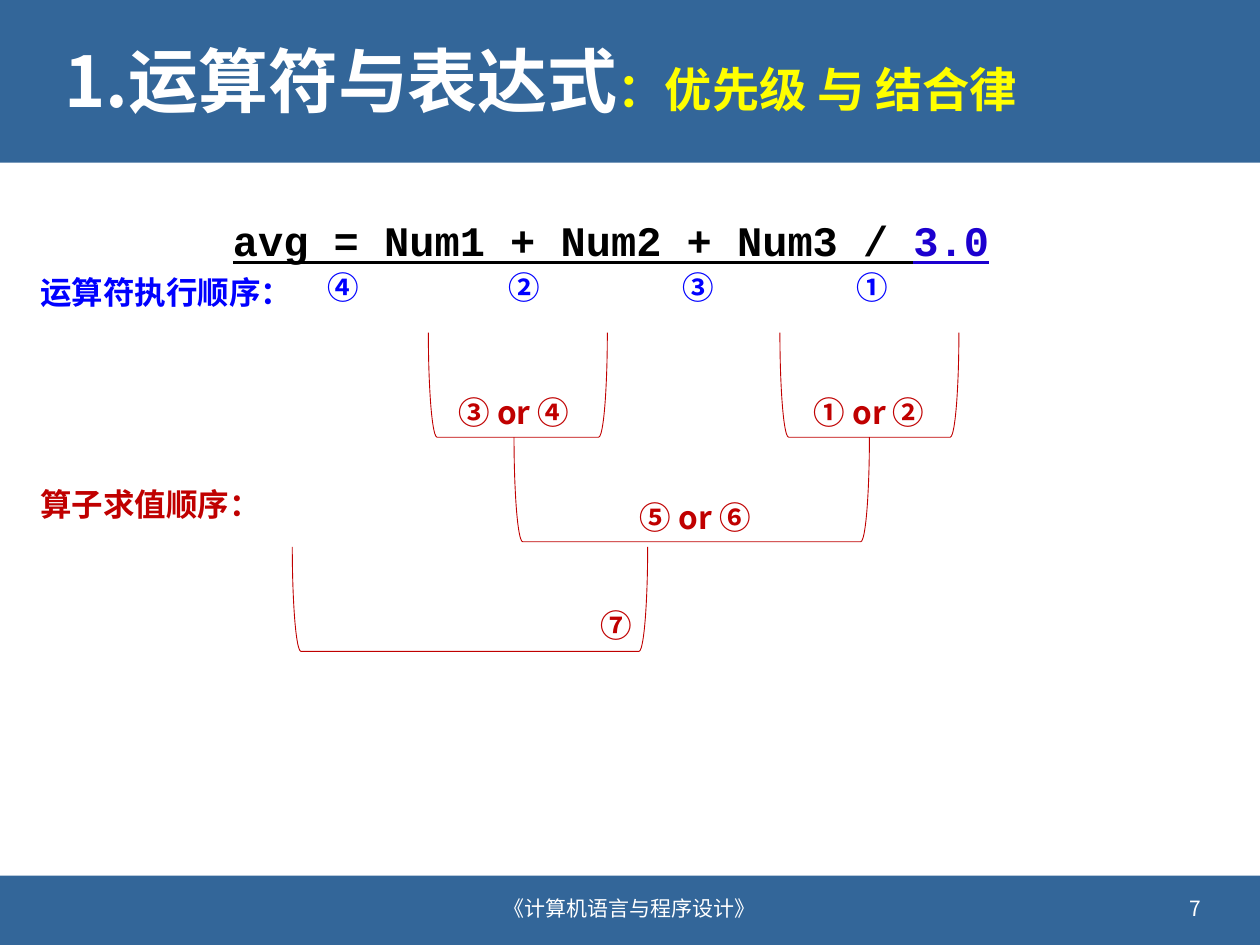
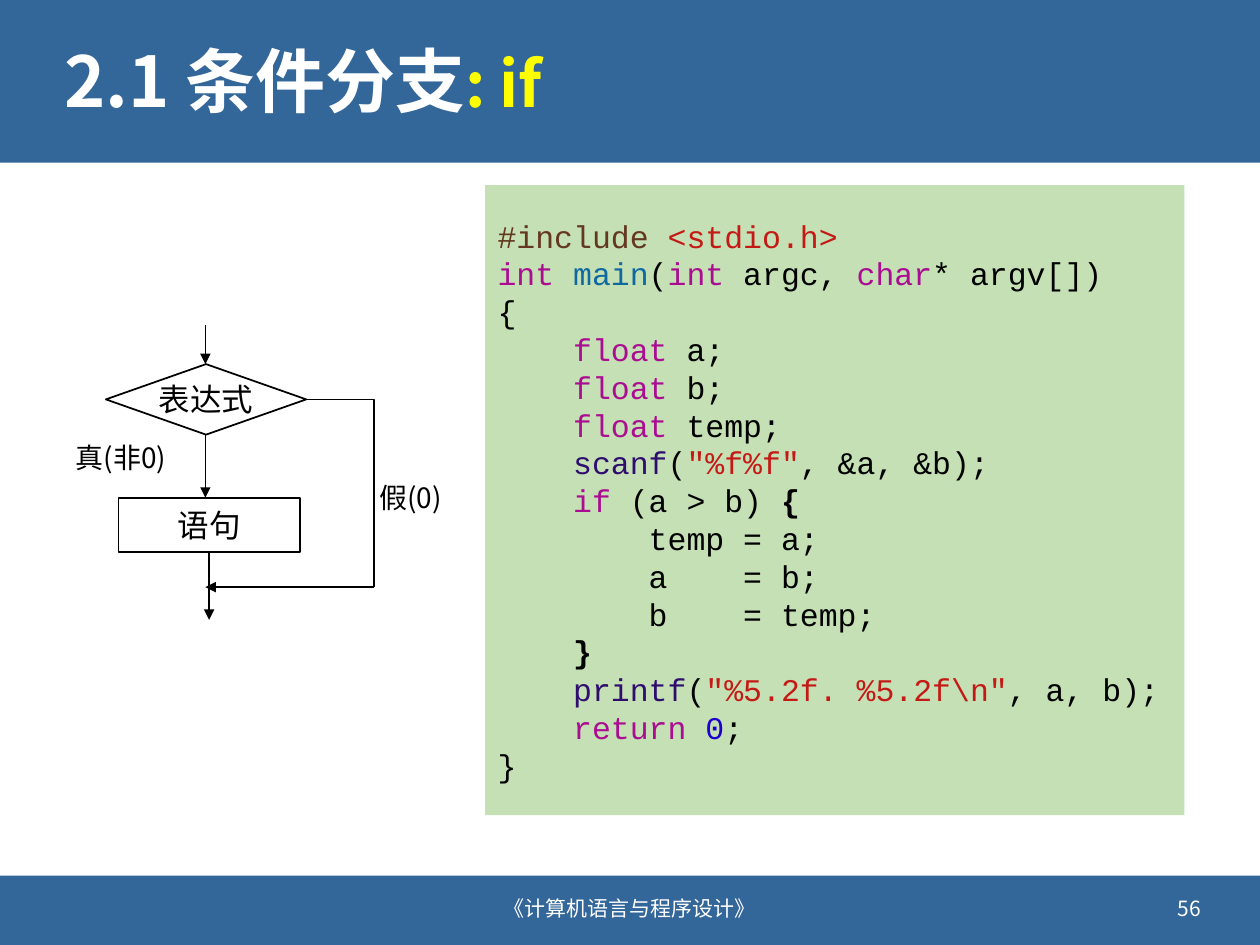
from dataclasses import dataclass

from lxml import etree
from pptx import Presentation
from pptx import util as u
from pptx.dml.color import RGBColor
from pptx.enum import shapes, text
from pptx.oxml import ns

SLIDE_WIDTH, SLIDE_HEIGHT = u.Inches(10), u.Inches(7.5)
COLUMNS, ROWS = 100, 75


@dataclass(frozen=True)
class Theme:
    """Colours, fonts and type sizes of the deck."""
    band: str = "336699"
    white: str = "FFFFFF"
    black: str = "000000"
    accent: str = "FFFF00"
    operator: str = "0000FF"
    operand: str = "C00000"
    code_fill: str = "C5E0B4"
    keyword: str = "AA0D91"
    function: str = "2E0D6E"
    entry: str = "0F68A0"
    string: str = "C41A16"
    number: str = "1C00CF"
    directive: str = "643820"
    sans: str = "Noto Sans CJK SC"
    mono: str = "Courier New"
    title_size: int = 40
    topic_size: int = 27
    keyword_topic_size: int = 36
    equation_size: int = 24
    body_size: int = 18
    branch_size: int = 16
    footer_size: int = 12


THEME = Theme()
SYNTAX = {
    "#include": THEME.directive, "main": THEME.entry, "0": THEME.number,
    **dict.fromkeys(("int", "char", "float", "if", "return"), THEME.keyword),
    **dict.fromkeys(("scanf", "printf"), THEME.function),
    **dict.fromkeys(("<stdio.h>", '"%f%f"', r'"%5.2f. %5.2f\n"'), THEME.string),
}
PROGRAM = r"""#include| |<stdio.h>
int| |main|(|int| argc, |char|* argv[])
{
    |float| a;
    |float| b;
    |float| temp;
    |scanf|(|"%f%f"|, &a, &b);
    |if| (a > b) |{
        temp = a;
        a    = b;
        b    = temp;
    |}
    |printf|(|"%5.2f. %5.2f\n"|, a, b);
    |return| |0|;
}"""


def across(columns):
    """Turn grid columns into a length."""
    return round(SLIDE_WIDTH * columns / COLUMNS)


def down(rows):
    """Turn grid rows into a length."""
    return round(SLIDE_HEIGHT * rows / ROWS)


def area(left, top, width, height):
    """Turn a grid area into shape arguments."""
    return across(left), down(top), across(width), down(height)


def style(span, size, color, bold=False, font=THEME.sans, underline=None):
    """Format one run, with the same face for Latin and Chinese."""
    span.font.size = u.Pt(size)
    span.font.bold = bold
    span.font.underline = underline
    span.font.color.rgb = RGBColor.from_string(color)
    span.font.name = font
    etree.SubElement(span.font._element, ns.qn("a:ea"), typeface=font)


def add_span(para, words, size, color, **options):
    """Append one formatted run to a paragraph."""
    span = para.add_run()
    span.text = words
    style(span, size, color, **options)


def paint(shape, fill=None, line=None, width=1):
    """Set the fill and outline of a shape and drop its shadow."""
    shape.shadow.inherit = False
    if fill:
        shape.fill.solid()
        shape.fill.fore_color.rgb = RGBColor.from_string(fill)
    else:
        shape.fill.background()
    if line:
        shape.line.color.rgb = RGBColor.from_string(line)
        shape.line.width = u.Pt(width)
    else:
        shape.line.fill.background()


def add_box(page, place, wrap=True):
    """Add an empty text box."""
    box = page.shapes.add_textbox(*area(*place))
    box.text_frame.word_wrap = wrap
    return box


def add_label(page, words, left, top, width, color):
    """Add a bold label that keeps to its own width."""
    frame = add_box(page, (left, top, width, 4), wrap=False).text_frame
    frame.auto_size = text.MSO_AUTO_SIZE.SHAPE_TO_FIT_TEXT
    frame.text = words
    style(frame.paragraphs[0].runs[0], THEME.body_size, color, bold=True)


def add_line(box, words, size, color=THEME.black, align=text.PP_ALIGN.CENTER):
    """Write one aligned line at the middle height of a shape."""
    frame = box.text_frame
    frame.text = words
    frame.vertical_anchor = text.MSO_ANCHOR.MIDDLE
    frame.paragraphs[0].alignment = align
    style(frame.paragraphs[0].runs[0], size, color)


def add_bracket(page, left, top, width, height=8.3):
    """Add a bracket that opens upwards over the given area."""
    middle_x, middle_y = left + width / 2, top + height / 2
    bracket = page.shapes.add_shape(
        shapes.MSO_SHAPE.LEFT_BRACKET,
        *area(middle_x - height / 2, middle_y - width / 2, height, width))
    bracket.rotation = 270
    paint(bracket, line=THEME.operand, width=0.5)


def add_flow_node(page, kind, words, place):
    """Add a flowchart node with centred text."""
    node = page.shapes.add_shape(kind, *area(*place))
    paint(node, THEME.white, THEME.black)
    node.text_frame.word_wrap = False
    add_line(node, words, THEME.body_size)


def add_flow_line(page, start, end, arrow=True, bent=False):
    """Add a straight or one-corner flow line."""
    kind = shapes.MSO_CONNECTOR.ELBOW if bent else shapes.MSO_CONNECTOR.STRAIGHT
    line = page.shapes.add_connector(
        kind, across(start[0]), down(start[1]), across(end[0]), down(end[1]))
    line.line.color.rgb = RGBColor.from_string(THEME.black)
    line.line.width = u.Pt(1)
    properties = line.element.spPr
    if bent:
        properties.find(ns.qn("a:prstGeom")).set("prst", "bentConnector2")
    if arrow:
        etree.SubElement(properties.find(ns.qn("a:ln")), ns.qn("a:tailEnd"),
                         type="triangle")
    etree.SubElement(properties, ns.qn("a:effectLst"))


def add_layout_bands(page):
    """Draw the header and footer bands behind the layout's placeholders."""
    tree = page.slide_layout.shapes.element
    for index, (top, height) in enumerate(((0, 12.9), (69.5, 5.5)), start=2):
        band = page.shapes.add_shape(shapes.MSO_SHAPE.RECTANGLE,
                                     *area(0, top, COLUMNS, height))
        paint(band, THEME.band)
        tree.insert(index, band.element)


def add_page(deck, heading, topic, topic_size, number):
    """Add a page with its two-tone title, course name and page number."""
    page = deck.slides.add_slide(deck.slide_layouts[5])
    title = page.shapes.title
    title.left, title.top, title.width, title.height = area(4.1, 1.8, 91.9, 9.9)
    title.text_frame.vertical_anchor = text.MSO_ANCHOR.MIDDLE
    para = title.text_frame.paragraphs[0]
    para.alignment = text.PP_ALIGN.LEFT
    para.line_spacing = 0.9
    add_span(para, heading, THEME.title_size, THEME.white, bold=True)
    add_span(para, topic, topic_size, THEME.accent, bold=True)
    for words, left, width, align in (
            ("《计算机语言与程序设计》", 32, 36, text.PP_ALIGN.CENTER),
            (number, 72.3, 24, text.PP_ALIGN.RIGHT)):
        box = add_box(page, (left, 70.1, width, 4))
        add_line(box, words, THEME.footer_size, THEME.white, align)
    return page


def add_equation(page):
    """Add the underlined expression."""
    para = add_box(page, (17.5, 16.5, 70.5, 5)).text_frame.paragraphs[0]
    for words, color in (("avg = Num1 + Num2 + Num3 / ", THEME.black),
                         ("3.0", THEME.number)):
        add_span(para, words, THEME.equation_size, color, bold=True,
                 font=THEME.mono, underline=True)


def add_evaluation_order(page):
    """Add the operator order and the tree of operand brackets."""
    add_label(page, "运算符执行顺序：", 2.2, 21.2, 22.2, THEME.operator)
    for words, left in (("④", 25), ("②", 39.4), ("③", 53.2), ("①", 67)):
        add_label(page, words, left, 20.8, 4.5, THEME.operator)
    add_label(page, "算子求值顺序：", 2.2, 38, 19.7, THEME.operand)
    for left, top, width in ((61.9, 26.4, 14.2), (34, 26.4, 14.2),
                             (40.8, 34.7, 28.2), (23.2, 43.4, 28.2)):
        add_bracket(page, left, top, width)
    for words, left, top, width in (
            ("① or ②", 63.6, 30.7, 11.3), ("③ or ④", 35.4, 30.7, 11.3),
            ("⑤ or ⑥", 49.8, 39, 11.3), ("⑦", 46.7, 47.6, 4.5)):
        add_label(page, words, left, top, width, THEME.operand)


def add_flowchart(page):
    """Add the flowchart of a single condition."""
    axis, bypass, merge = 16.3, 29.7, 46.6
    add_flow_node(page, shapes.MSO_SHAPE.FLOWCHART_DECISION, "表达式",
                  (8.4, 28.9, 15.9, 5.6))
    add_flow_node(page, shapes.MSO_SHAPE.FLOWCHART_PROCESS, "语句",
                  (9.4, 39.5, 14.4, 4.3))
    add_flow_line(page, (axis, 25.8), (axis, 28.9))
    add_flow_line(page, (axis, 34.5), (axis, 39.5))
    add_flow_line(page, (16.6, 43.8), (16.6, 49.2))
    add_flow_line(page, (24.3, 31.7), (bypass, merge), arrow=False, bent=True)
    add_flow_line(page, (bypass, merge), (axis, merge))
    for words, place in (("真(非0)", (3.1, 34.5, 13, 3.6)),
                         ("假(0)", (27.6, 37.1, 10, 4.8))):
        add_line(add_box(page, place), words, THEME.branch_size)


def add_program(page):
    """Add the coloured listing."""
    panel = page.shapes.add_shape(shapes.MSO_SHAPE.RECTANGLE,
                                  *area(38.5, 14.7, 55.5, 50))
    paint(panel, THEME.code_fill)
    frame = panel.text_frame
    frame.word_wrap = True
    frame.vertical_anchor = text.MSO_ANCHOR.MIDDLE
    for row, line in enumerate(PROGRAM.splitlines()):
        para = frame.add_paragraph() if row else frame.paragraphs[0]
        para.alignment = text.PP_ALIGN.LEFT
        for position, piece in enumerate(line.split("|")):
            add_span(para, piece, THEME.body_size,
                     SYNTAX.get(piece, THEME.black), font=THEME.mono,
                     bold=position > 0 and piece in ("{", "}"))


def main():
    """Build the two pages and save the deck."""
    deck = Presentation()
    deck.slide_width, deck.slide_height = SLIDE_WIDTH, SLIDE_HEIGHT
    page = add_page(deck, "1.运算符与表达式", "：优先级 与 结合律",
                    THEME.topic_size, "7")
    add_layout_bands(page)
    add_equation(page)
    add_evaluation_order(page)
    page = add_page(deck, "2.1 条件分支", ": if",
                    THEME.keyword_topic_size, "56")
    add_flowchart(page)
    add_program(page)
    deck.save("out.pptx")


if __name__ == "__main__":
    main()
